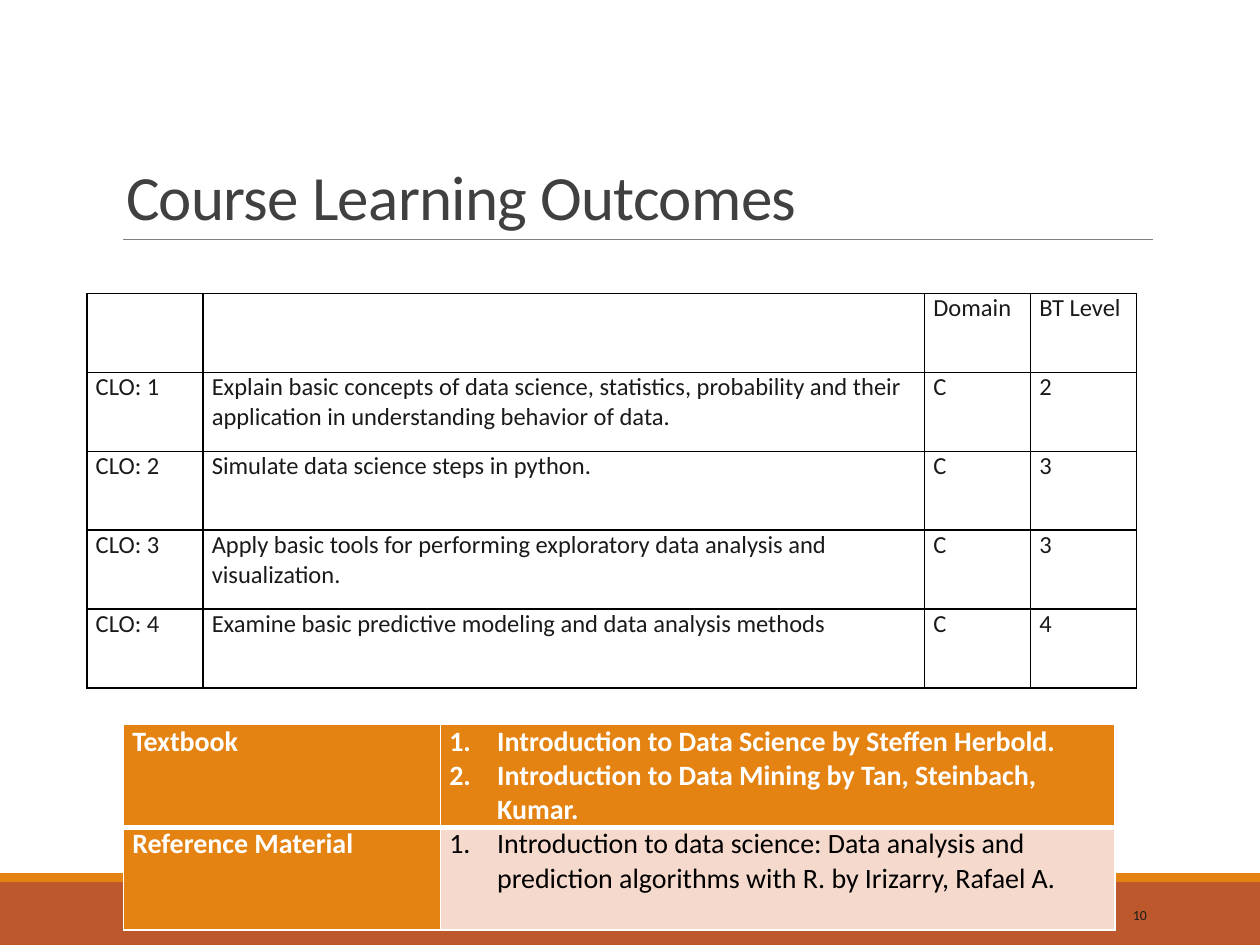
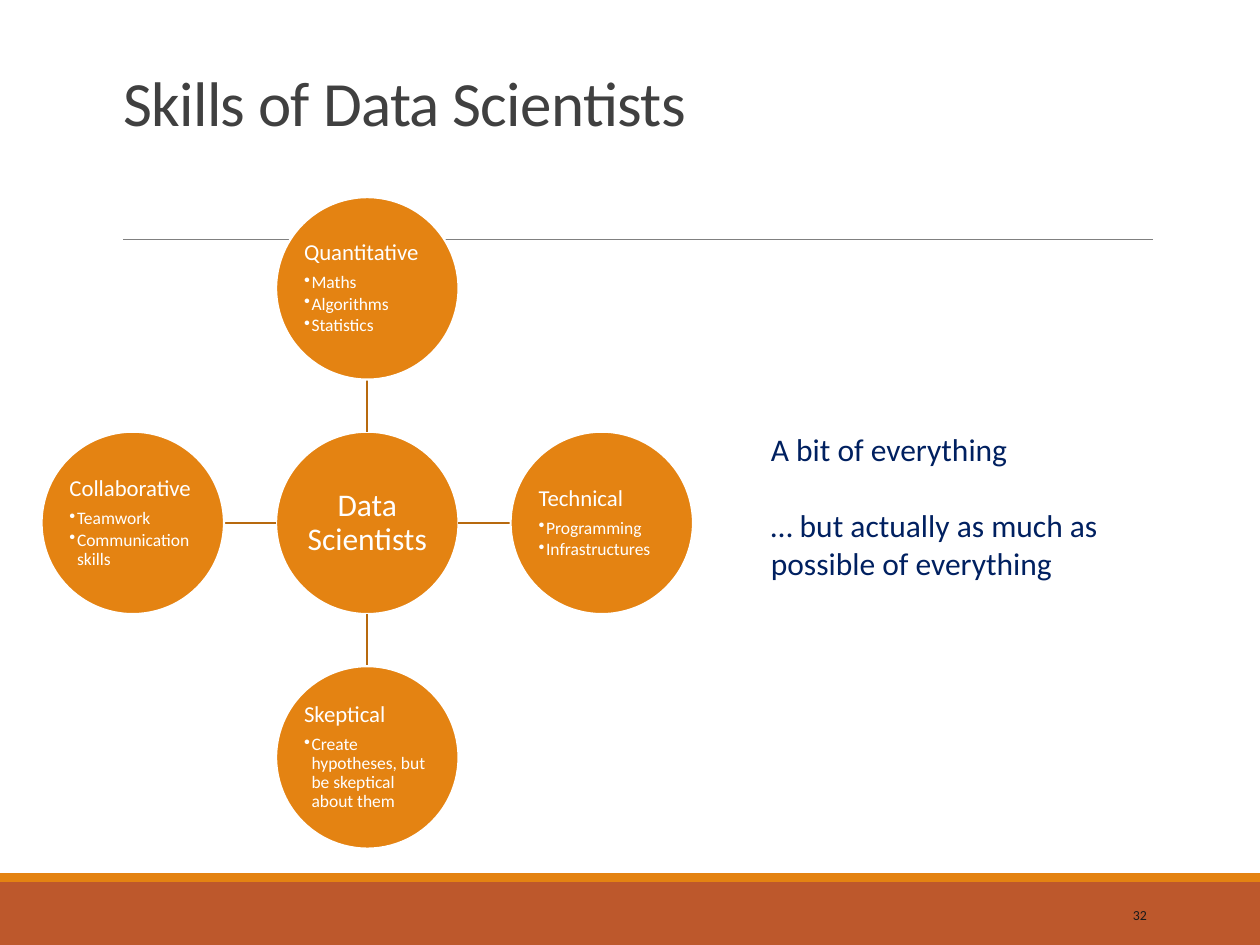
from collections import namedtuple

from lxml import etree
from pptx import Presentation
from pptx.dml.color import RGBColor
from pptx.enum.shapes import MSO_CONNECTOR, MSO_SHAPE
from pptx.enum.text import MSO_ANCHOR, MSO_AUTO_SIZE, PP_ALIGN
from pptx.oxml.ns import qn
from pptx.util import Inches, Pt

LEFT, CENTER, RIGHT = PP_ALIGN.LEFT, PP_ALIGN.CENTER, PP_ALIGN.RIGHT
TOP, MIDDLE, BOTTOM = MSO_ANCHOR.TOP, MSO_ANCHOR.MIDDLE, MSO_ANCHOR.BOTTOM
RECTANGLE, ELLIPSE = MSO_SHAPE.RECTANGLE, MSO_SHAPE.OVAL
STRAIGHT = MSO_CONNECTOR.STRAIGHT

FONT = "Calibri"
COLORS = {
    "band": "BD582C", "accent": "E48312", "spoke": "B7690E", "rule": "808080",
    "title": "404040", "body": "1A1A1A", "remark": "002060",
    "pale": "F5D9CC", "white": "FFFFFF", "black": "000000",
}

# The slide is a grid of 100 columns by 75 rows
WIDTH, HEIGHT = Inches(10), Inches(7.5)
COLUMN, ROW = WIDTH / 100, HEIGHT / 75
TITLE_ONLY = 5
Box = namedtuple("Box", "left top width height")


def columns(count):
    return round(count * COLUMN)


def rows(count):
    return round(count * ROW)


def place(box):
    return columns(box.left), rows(box.top), columns(box.width), rows(box.height)


def color(name):
    return RGBColor.from_string(COLORS[name])


# Text
def set_font(paragraph, size, color_name, bold=False):
    font = paragraph.font
    font.name, font.size, font.bold = FONT, Pt(size), bold
    font.color.rgb = color(color_name)


def add_bullet(paragraph, indent, tag, **attributes):
    properties = paragraph._p.get_or_add_pPr()
    properties.set("marL", str(Inches(indent)))
    properties.set("indent", str(-Inches(indent)))
    etree.SubElement(properties, qn(tag), attributes)


def write_paragraphs(frame, lines):
    """Fill the frame and return its paragraphs."""
    frame.text = "\n".join(lines)
    return frame.paragraphs


def add_text(slide, box, lines, size, color_name, align=LEFT, anchor=TOP):
    frame = slide.shapes.add_textbox(*place(box)).text_frame
    frame.word_wrap = True
    frame.vertical_anchor = anchor
    paragraphs = write_paragraphs(frame, lines)
    for paragraph in paragraphs:
        paragraph.alignment = align
        set_font(paragraph, size, color_name)
    return paragraphs


# Shapes and lines
def add_filled_shape(slide, kind, box, fill, outline=None):
    shape = slide.shapes.add_shape(kind, *place(box))
    shape.shadow.inherit = False
    shape.fill.solid()
    shape.fill.fore_color.rgb = color(fill)
    if outline:
        shape.line.color.rgb = color(outline)
        shape.line.width = Pt(1.25)
    else:
        shape.line.fill.background()
    return shape


def add_line(slide, start, end, color_name, width):
    line = slide.shapes.add_connector(
        STRAIGHT, columns(start[0]), rows(start[1]), columns(end[0]), rows(end[1]))
    line.line.color.rgb = color(color_name)
    line.line.width = Pt(width)
    etree.SubElement(line._element.spPr, qn("a:effectLst"))


# Slide frame shared by both slides
def add_framed_slide(presentation, title, title_box, number):
    slide = presentation.slides.add_slide(presentation.slide_layouts[TITLE_ONLY])
    add_filled_shape(slide, RECTANGLE, Box(0, 70, 100, 5), "band")
    add_filled_shape(slide, RECTANGLE, Box(0, 69.3, 100, 0.7), "accent")
    add_line(slide, (9.8, 19), (91.5, 19), "rule", 0.5)

    shape = slide.shapes.title
    shape.left, shape.top, shape.width, shape.height = place(title_box)
    frame = shape.text_frame
    frame.auto_size = MSO_AUTO_SIZE.NONE
    frame.vertical_anchor = BOTTOM
    paragraph = write_paragraphs(frame, [title])[0]
    paragraph.alignment = LEFT
    paragraph.line_spacing = 0.85
    set_font(paragraph, 36, "title")
    paragraph.font._element.set("spc", "-40")
    return slide, number


def add_number(slide, number):
    add_text(slide, Box(81.2, 70.6, 10.8, 4), [number], 7.9, "body", RIGHT, MIDDLE)


# Tables
def add_plain_table(slide, box, column_widths, row_count):
    table = slide.shapes.add_table(row_count, len(column_widths), *place(box)).table
    table.first_row = table.horz_banding = False
    for column, width in zip(table.columns, column_widths):
        column.width = columns(box.width * width / sum(column_widths))
    for row in table.rows:
        row.height = rows(box.height / row_count)
    for cell in table.iter_cells():
        cell.margin_left = cell.margin_right = Inches(0.07)
        cell.margin_top = cell.margin_bottom = 0
    return table


def set_borders(cell, color_name, top=1, bottom=1):
    properties = cell._tc.get_or_add_tcPr()
    for side, width in zip("LRTB", (1, 1, top, bottom)):
        border = etree.SubElement(properties, qn(f"a:ln{side}"), w=str(Pt(width)))
        fill = etree.SubElement(border, qn("a:solidFill"))
        etree.SubElement(fill, qn("a:srgbClr"), val=COLORS[color_name])


def add_outcomes_table(slide, box):
    records = [
        ("", "", "Domain", "BT Level"),
        ("CLO: 1", "Explain basic concepts of data science, statistics, probability "
         "and their application in understanding behavior of data.", "C", "2"),
        ("CLO: 2", "Simulate data science steps in python.", "C", "3"),
        ("CLO: 3", "Apply basic tools for performing exploratory data analysis "
         "and visualization.", "C", "3"),
        ("CLO: 4", "Examine basic predictive modeling and data analysis methods", "C", "4"),
    ]
    table = add_plain_table(slide, box, (0.92, 5.72, 0.84, 0.84), len(records))
    for row, record in zip(table.rows, records):
        for cell, text in zip(row.cells, record):
            set_borders(cell, "black")
            cell.fill.background()
            set_font(write_paragraphs(cell.text_frame, [text])[0], 14, "body")


def add_books_table(slide, box):
    shelves = [
        ("Textbook", ["Introduction to Data Science by Steffen Herbold.",
                      "Introduction to Data Mining by Tan, Steinbach, Kumar."],
         "accent", "white", True),
        ("Reference Material", ["Introduction to data science: Data analysis and "
                                "prediction algorithms with R. by Irizarry, Rafael A."],
         "pale", "black", False),
    ]
    table = add_plain_table(slide, box, (2.52, 5.36), len(shelves))
    for index, (heading, books, fill, text_color, bold) in enumerate(shelves):
        heading_cell, books_cell = table.rows[index].cells
        for cell, cell_fill in ((heading_cell, "accent"), (books_cell, fill)):
            # A thick rule parts the two rows
            set_borders(cell, "white", top=3 if index else 1, bottom=1 if index else 3)
            cell.fill.solid()
            cell.fill.fore_color.rgb = color(cell_fill)
        set_font(write_paragraphs(heading_cell.text_frame, [heading])[0], 16, "white", True)
        for paragraph in write_paragraphs(books_cell.text_frame, books):
            add_bullet(paragraph, 0.38, "a:buAutoNum", type="arabicPeriod")
            set_font(paragraph, 16, text_color, bold)


# Hub and spokes
def add_skill_circle(slide, center, diameter, heading, skills=()):
    box = Box(center[0] - diameter / 2, center[1] - diameter / 2, diameter, diameter)
    circle = add_filled_shape(slide, ELLIPSE, box, "accent", "white")
    frame = circle.text_frame
    frame.word_wrap = True
    frame.vertical_anchor = MIDDLE
    frame.margin_left = frame.margin_right = Inches(0.01)
    frame.margin_top = frame.margin_bottom = Inches(0.01)
    first, *others = write_paragraphs(frame, [heading, *skills])
    first.alignment = LEFT if skills else CENTER
    first.line_spacing = 0.9
    if skills:
        first.space_after = Pt(4.5)
    set_font(first, 13 if skills else 18, "white")
    for paragraph in others:
        paragraph.alignment = LEFT
        paragraph.line_spacing = 0.9
        paragraph.space_after = Pt(1.5)
        add_bullet(paragraph, 0.06, "a:buChar", char="•")
        set_font(paragraph, 10, "white")


def add_skill_wheel(slide, box):
    skills_by_direction = {
        (0, -1): ("Quantitative", ["Maths", "Algorithms", "Statistics"]),
        (1, 0): ("Technical", ["Programming", "Infrastructures"]),
        (0, 1): ("Skeptical", ["Create hypotheses, but be skeptical about them"]),
        (-1, 0): ("Collaborative", ["Teamwork", "Communication skills"]),
    }
    diameter = box.width * 0.28
    radius = diameter / 2
    reach = (box.width - diameter) / 2
    hub = (box.left + box.width / 2, box.top + box.height / 2)

    def from_hub(direction, distance):
        return tuple(start + step * distance for start, step in zip(hub, direction))

    add_skill_circle(slide, hub, diameter, "Data Scientists")
    for direction, (heading, skills) in skills_by_direction.items():
        add_line(slide, from_hub(direction, radius), from_hub(direction, reach - radius),
                 "spoke", 1.25)
        add_skill_circle(slide, from_hub(direction, reach), diameter, heading, skills)


# Slides
def build_outcomes_slide(presentation):
    slide, number = add_framed_slide(
        presentation, "Course Learning Outcomes", Box(9, 3.1, 82.5, 15.9), "10")
    add_outcomes_table(slide, Box(6.9, 23.3, 83.3, 31.3))
    add_books_table(slide, Box(9.8, 57.5, 78.7, 16.3))
    add_number(slide, number)


def build_skills_slide(presentation):
    slide, number = add_framed_slide(
        presentation, "Skills of Data Scientists", Box(8.8, 3.3, 82.5, 8.3), "32")
    add_skill_wheel(slide, Box(3.3, 15.6, 51.7, 51.8))
    remarks = add_text(slide, Box(60.2, 33.6, 34.6, 13.1),
                       ["A bit of everything",
                        "… but actually as much as possible of everything"], 18, "remark")
    remarks[1].space_before = Pt(22)
    add_number(slide, number)


def main():
    presentation = Presentation()
    presentation.slide_width, presentation.slide_height = WIDTH, HEIGHT
    build_outcomes_slide(presentation)
    build_skills_slide(presentation)
    presentation.save("out.pptx")


if __name__ == "__main__":
    main()
